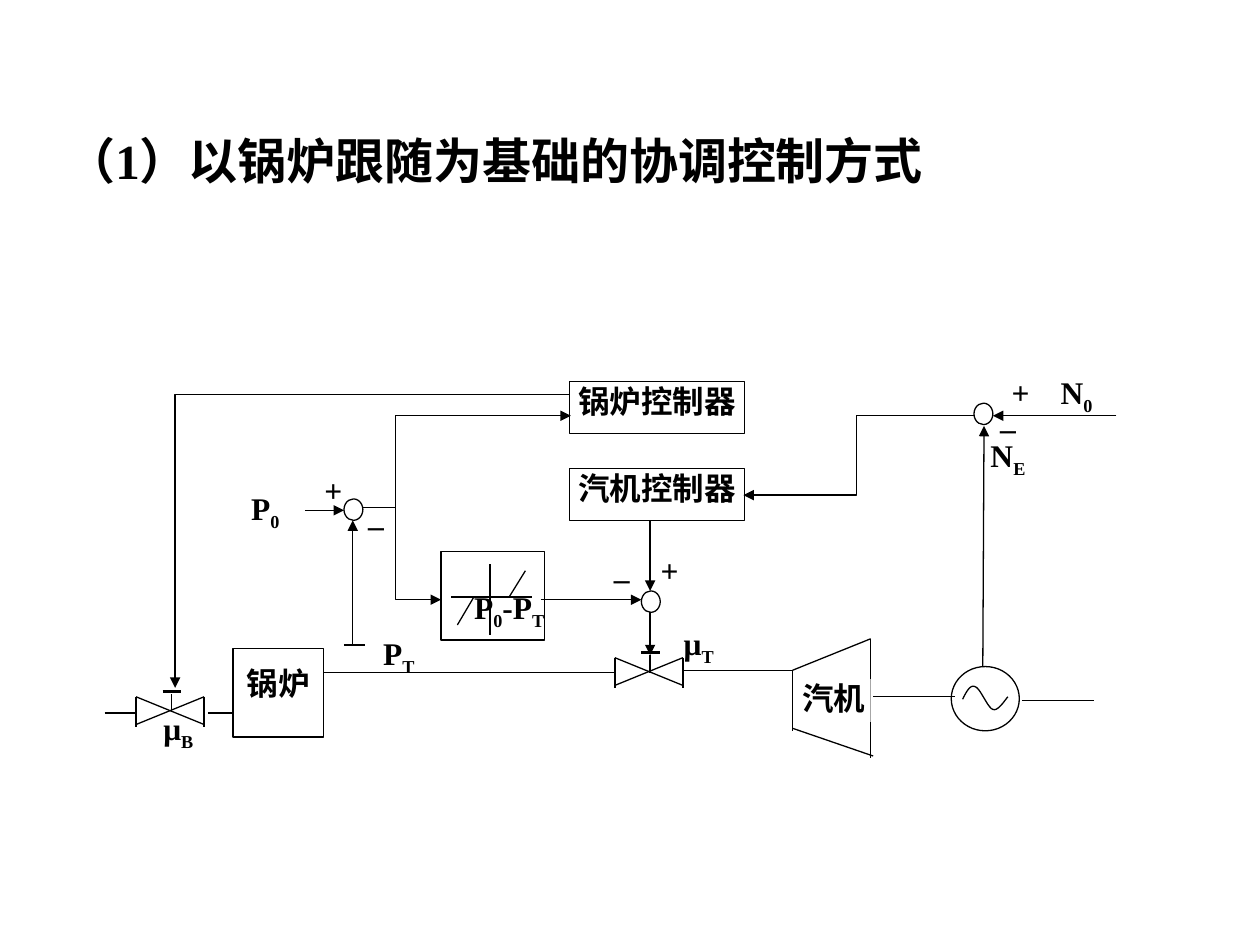
import pptx
import pptx.dml.color
import pptx.enum.shapes
import pptx.enum.text
import pptx.oxml.ns
import pptx.util
from lxml import etree

BLACK = pptx.dml.color.RGBColor(0, 0, 0)
WHITE = pptx.dml.color.RGBColor(255, 255, 255)
FONT = "Times New Roman"
COLUMNS, ROWS = 100, 75
CELL = pptx.util.Inches(0.1)
THIN, AXIS, THICK = 0.75, 1, 1.5
SHAPES = pptx.enum.shapes.MSO_SHAPE
ALIGN = pptx.enum.text.PP_ALIGN

LABELS = [
    (51.6, 43.7, 3.1, 2.9, "+"),
    (47.8, 43.5, 3.1, 2.9, "_"),
    (12.1, 56.3, 4.1, 3.4, "μ~B"),
    (53.4, 49.5, 4.1, 3.4, "μ~T"),
    (29.6, 50.3, 4.1, 3.4, "P~T"),
    (28.3, 39.3, 3.1, 2.9, "_"),
    (24.9, 37.4, 3.1, 2.9, "+"),
    (77.8, 31.6, 4.4, 6.8, "_\nN~E"),
    (79.6, 29.6, 2.8, 3.2, "+"),
    (83.8, 29.6, 3.3, 3.2, "N~0"),
    (19.0, 38.8, 4.1, 3.4, "P~0"),
]
SUMMING_POINTS = [(27.3, 39.6), (50.9, 46.9), (77.3, 32.0)]
PLAIN_WIRES = [
    [(54.2, 53.2), (62.9, 53.2)],
    [(31.4, 40.3), (28.8, 40.3)],
    [(27.3, 51.2), (29.0, 51.2)],
    [(69.3, 55.3), (75.8, 55.3)],
    [(81.1, 55.6), (86.8, 55.6)],
    [(48.8, 53.4), (25.7, 53.4)],
    [(16.5, 56.6), (18.5, 56.6)],
    [(8.3, 56.6), (10.8, 56.6)],
]
SIGNAL_WIRES = [
    [(28.0, 51.2), (28.0, 41.3)],
    [(24.2, 40.5), (27.3, 40.5)],
    [(51.6, 41.3), (51.6, 46.9)],
    [(42.9, 47.6), (50.9, 47.6)],
    [(51.6, 48.6), (51.6, 52.0)],
    [(78.0, 52.9), (78.1, 33.8)],
    [(88.6, 33.0), (78.8, 33.0)],
    [(77.3, 33.0), (68.0, 33.0), (68.0, 39.3), (59.0, 39.3)],
    [(45.2, 31.3), (13.9, 31.3), (13.9, 54.6)],
]
TURBINE_EDGES = [
    [(62.9, 53.2), (62.9, 58.0)],
    [(69.1, 50.7), (69.1, 60.2)],
    [(62.9, 53.2), (69.1, 50.7)],
    [(62.9, 57.8), (69.3, 60.0)],
]
SINE_CURVES = [
    [(76.4, 55.5), (76.7, 54.9), (77.0, 54.3), (77.4, 54.5)],
    [(77.4, 54.5), (77.8, 54.6), (78.4, 56.2), (78.8, 56.3)],
    [(78.8, 56.3), (79.2, 56.5), (79.8, 55.5), (80.0, 55.3)],
]


def grid(*cells):
    """Turn grid cells into slide lengths."""
    return [round(cell * CELL) for cell in cells]


def write(paragraph, text, size):
    """Write bold text in which every second part between tildes is a subscript."""
    for index, part in enumerate(text.split("~")):
        run = paragraph.add_run()
        run.text = part
        run.font.name, run.font.size = FONT, pptx.util.Pt(size)
        run.font.bold = True
        run.font.color.rgb = BLACK
        if index % 2:
            run.font._element.set("baseline", "-25000")


def add_title(slide, text):
    """Add the heading with a hanging indent."""
    frame = slide.shapes.add_textbox(*grid(4.3, 9.9, 90, 10)).text_frame
    frame.word_wrap = True
    paragraph = frame.paragraphs[0]
    paragraph.space_before = pptx.util.Pt(7)
    properties = paragraph._p.get_or_add_pPr()
    indent = pptx.util.Inches(0.38)
    properties.set("marL", str(indent))
    properties.set("indent", str(-indent))
    write(paragraph, text, 28)


def add_block(slide, left, top, width, height, text="", outlined=True,
              kind=SHAPES.RECTANGLE, inset=0, alignment=ALIGN.CENTER):
    """Add a white shape with optional outline and text."""
    shape = slide.shapes.add_shape(kind, *grid(left, top, width, height))
    shape.shadow.inherit = False
    shape.fill.solid()
    shape.fill.fore_color.rgb = WHITE
    if outlined:
        shape.line.color.rgb = BLACK
        shape.line.width = pptx.util.Pt(THIN)
    else:
        shape.line.fill.background()
    if not text:
        return
    frame = shape.text_frame
    frame.word_wrap = True
    frame.vertical_anchor = pptx.enum.text.MSO_ANCHOR.TOP
    frame.margin_left = frame.margin_right = frame.margin_bottom = 0
    frame.margin_top = grid(inset)[0]
    for index, line in enumerate(text.split("\n")):
        paragraph = frame.add_paragraph() if index else frame.paragraphs[0]
        paragraph.alignment = alignment
        write(paragraph, line, 18)


def add_wire(slide, points, ends=(), width=THIN):
    """Draw a straight connector or an open polyline, with optional arrowheads."""
    if len(points) == 2:
        straight = pptx.enum.shapes.MSO_CONNECTOR.STRAIGHT
        wire = slide.shapes.add_connector(straight, *grid(*points[0], *points[1]))
    else:
        builder = slide.shapes.build_freeform(*grid(*points[0]))
        builder.add_line_segments([grid(*point) for point in points[1:]], close=False)
        wire = builder.convert_to_shape()
        wire.fill.background()
    wire.line.color.rgb = BLACK
    wire.line.width = pptx.util.Pt(width)
    properties = wire._element.spPr
    outline = properties.find(pptx.oxml.ns.qn("a:ln"))
    for end in ends:
        etree.SubElement(outline, pptx.oxml.ns.qn(f"a:{end}")).set("type", "triangle")
    etree.SubElement(properties, pptx.oxml.ns.qn("a:effectLst"))


def add_valve(slide, left, top):
    """Draw a bow-tie valve with its stem and cap."""
    right, bottom, stem = left + 5.4, top + 2.2, left + 2.8
    add_wire(slide, [(right, top), (left, bottom)])
    add_wire(slide, [(left, top), (right, bottom)])
    for side in (left, right):
        add_wire(slide, [(side, top), (side, top + 2.4)])
    add_wire(slide, [(stem, top - 0.2), (stem, top + 1.2)])
    add_wire(slide, [(left + 2.1, top - 0.4), (left + 3.6, top - 0.4)], width=THICK)


def add_dead_band(slide):
    """Draw the dead-band block with its characteristic."""
    add_block(slide, 35.0, 43.8, 8.2, 7.0, "P~0~-P~T", inset=2.9, alignment=ALIGN.RIGHT)
    add_wire(slide, [(35.8, 47.4), (42.2, 47.4)], width=AXIS)
    add_wire(slide, [(38.9, 44.8), (38.9, 50.4)])
    add_wire(slide, [(37.6, 47.4), (36.3, 49.6)])
    add_wire(slide, [(40.4, 47.4), (41.7, 45.3)])


def bezier(controls, steps=10):
    """Return points along a cubic curve."""
    points = []
    for step in range(steps + 1):
        t = step / steps
        weights = ((1 - t) ** 3, 3 * t * (1 - t) ** 2, 3 * t * t * (1 - t), t ** 3)
        points.append(tuple(sum(weight * value for weight, value in zip(weights, axis))
                            for axis in zip(*controls)))
    return points


def add_generator(slide):
    """Draw the generator circle with its sine wave."""
    add_block(slide, 75.5, 52.9, 5.4, 5.1, kind=SHAPES.FLOWCHART_CONNECTOR)
    add_wire(slide, [point for curve in SINE_CURVES for point in bezier(curve)])


def main():
    """Build and save the control diagram slide."""
    presentation = pptx.Presentation()
    presentation.slide_width, presentation.slide_height = grid(COLUMNS, ROWS)
    slide = presentation.slides.add_slide(presentation.slide_layouts[6])
    add_title(slide, "（1）以锅炉跟随为基础的协调控制方式")
    for label in LABELS:
        add_block(slide, *label, outlined=False)
    add_block(slide, 45.2, 30.3, 13.9, 4.1, "锅炉控制器")
    add_block(slide, 45.2, 37.2, 13.9, 4.1, "汽机控制器")
    add_block(slide, 18.5, 51.5, 7.2, 7.0, "锅炉", inset=1.2)
    add_dead_band(slide)
    for left, top in SUMMING_POINTS:
        add_block(slide, left, top, 1.5, 1.7, kind=SHAPES.OVAL)
    for edge in TURBINE_EDGES:
        add_wire(slide, edge)
    add_block(slide, 63.2, 53.9, 5.9, 3.4, "汽机", outlined=False)
    add_generator(slide)
    add_valve(slide, 48.8, 52.2)
    add_valve(slide, 10.8, 55.3)
    for points in PLAIN_WIRES:
        add_wire(slide, points)
    for points in SIGNAL_WIRES:
        add_wire(slide, points, ["tailEnd"])
    add_wire(slide, [(45.3, 33.0), (31.4, 33.0), (31.4, 47.6), (35.0, 47.6)],
             ["headEnd", "tailEnd"])
    presentation.save("out.pptx")


if __name__ == "__main__":
    main()
